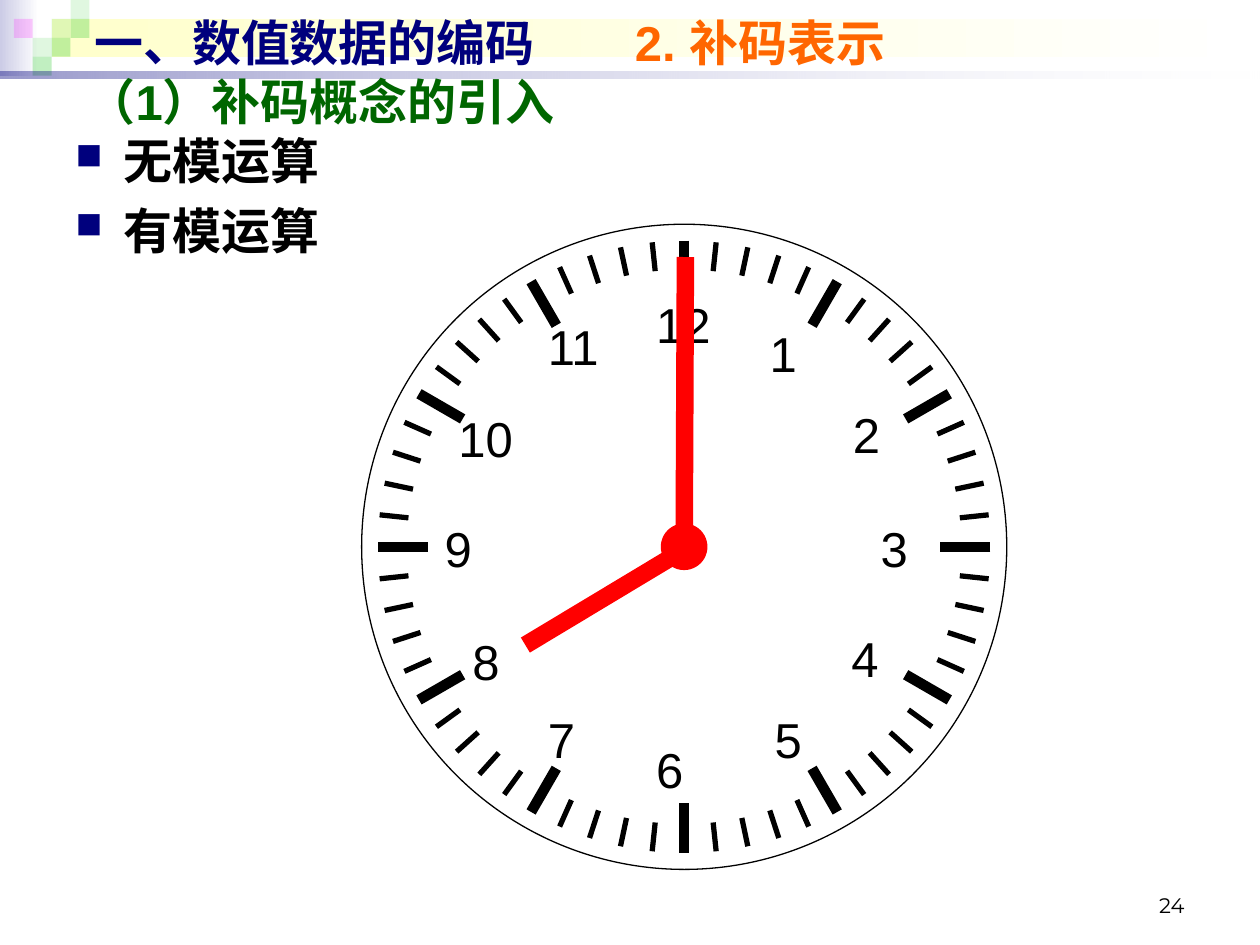
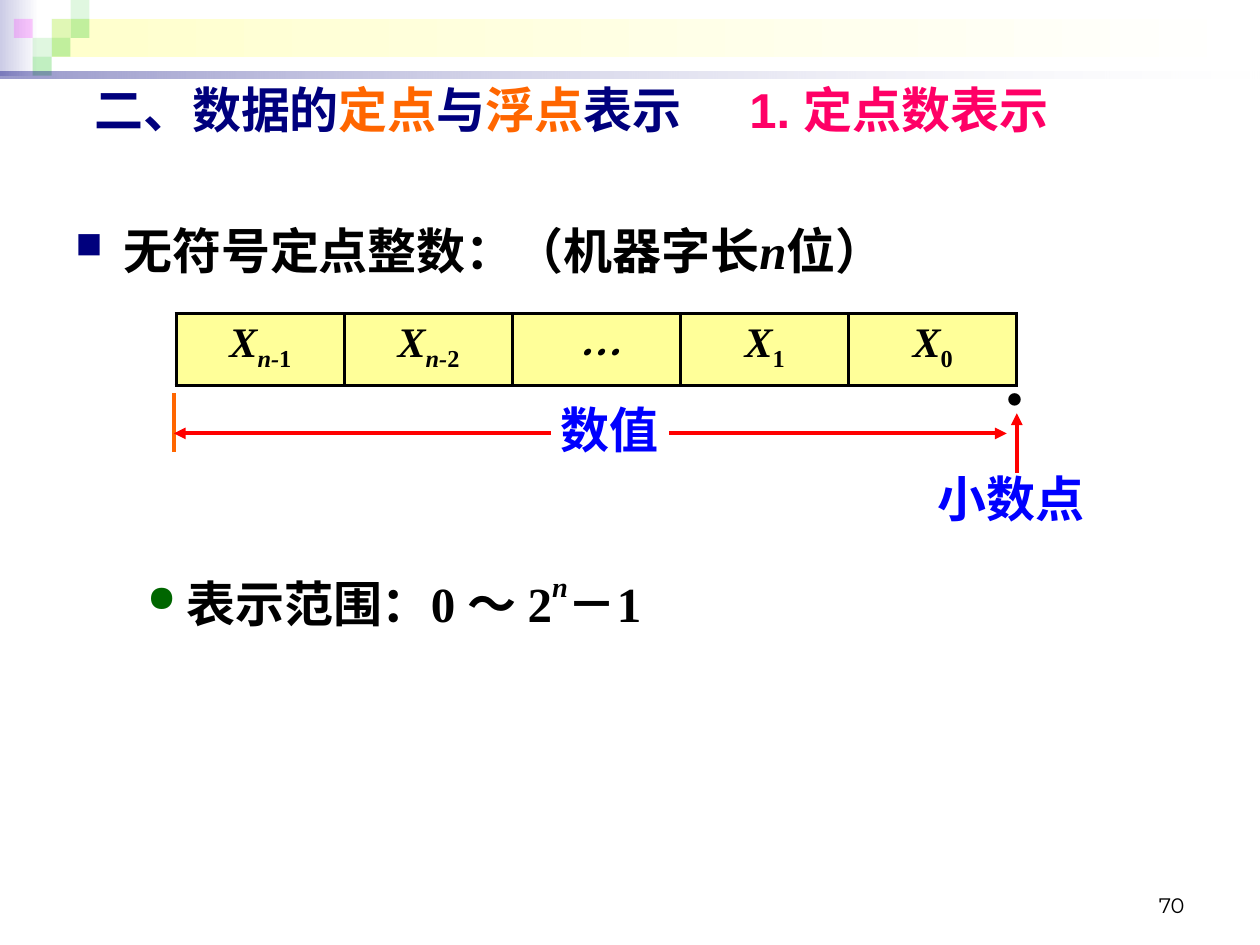
"""Builds two slides on complement code and fixed-point numbers."""
from dataclasses import dataclass
from math import cos, radians, sin

from lxml.etree import SubElement
from pptx import Presentation
from pptx.dml.color import RGBColor
from pptx.enum.shapes import MSO_CONNECTOR, MSO_SHAPE
from pptx.enum.text import MSO_ANCHOR, PP_ALIGN
from pptx.oxml.ns import qn
from pptx.util import Pt

PX = 9144


@dataclass(frozen=True)
class Theme:
    navy: str = "00007D"
    orange: str = "FF6600"
    pink: str = "FF0066"
    green: str = "006600"
    blue: str = "0000FF"
    red: str = "FF0000"
    black: str = "000000"
    white: str = "FFFFFF"
    lavender: str = "CCCCE6"
    cream: str = "FFFFCC"
    cell: str = "FFFF99"
    mosaic_green: str = "33CC33"
    mosaic_pink: str = "FF00FF"
    sans: str = "Arial"
    serif: str = "Times New Roman"
    chinese: str = "Noto Sans CJK SC"
    footer: str = "Montserrat"
    size: int = 28
    cell_size: int = 24
    footer_size: int = 12


@dataclass(frozen=True)
class Span:
    text: str
    color: str = Theme.black
    font: str = Theme.serif
    size: int = Theme.size
    bold: bool = True
    italic: bool = False
    baseline: int = 0


def heading(text, color):
    return Span(text, color, Theme.sans)


class Painter:
    def __init__(self, deck, theme):
        self.deck = deck
        self.theme = theme
        self.page = None

    def new_page(self, number):
        theme = self.theme
        self.page = self.deck.slides.add_slide(self.deck.slide_layouts[6])
        self.gradient((0, 0, 31, 60), theme.lavender)
        self.gradient((41, 15, 955, 30), theme.cream)
        tiles = [(2, 1, 15), (3, 0, 15), (3, 1, 30), (1, 2, 15), (0, 1, 20), (2, 2, 30), (1, 3, 30)]
        for column, row, alpha in tiles:
            color = theme.mosaic_green if column else theme.mosaic_pink
            tile = self.shape((11 + 15 * column, 15 * row, 15, 15), fill=color)
            self.fade(tile, alpha)
        rule = self.gradient((0, 57, 1000, 5), theme.navy)
        self.fade(rule, 40, 10)
        self.text((717, 683, 233, 50),
                  [Span(str(number), font=theme.footer, size=theme.footer_size, bold=False)],
                  align=PP_ALIGN.RIGHT, anchor=MSO_ANCHOR.BOTTOM)

    def shape(self, area, kind=MSO_SHAPE.RECTANGLE, fill=None, line=None):
        shape = self.page.shapes.add_shape(kind, *(PX * value for value in area))
        shape.shadow.inherit = False
        if fill:
            shape.fill.solid()
            shape.fill.fore_color.rgb = RGBColor.from_string(fill)
        else:
            shape.fill.background()
        if line:
            shape.line.color.rgb = RGBColor.from_string(line)
            shape.line.width = Pt(0.75)
        else:
            shape.line.fill.background()
        return shape

    def gradient(self, area, start):
        shape = self.shape(area)
        shape.fill.gradient()
        shape.fill.gradient_angle = 0
        for stop, color, position in zip(shape.fill.gradient_stops, (start, self.theme.white), (0, 1)):
            stop.color.rgb = RGBColor.from_string(color)
            stop.position = position
        return shape

    def fade(self, shape, *percents):
        colors = shape.element.spPr.iter(qn("a:srgbClr"))
        for color, percent in zip(list(colors), percents):
            SubElement(color, qn("a:alpha"), val=str(percent * 1000))

    def circle(self, center, radius, fill=None, line=None):
        x, y = center
        return self.shape((x - radius, y - radius, 2 * radius, 2 * radius), MSO_SHAPE.OVAL, fill, line)

    def line(self, start, end, color, width, arrow=False):
        points = [round(PX * value) for value in (*start, *end)]
        connector = self.page.shapes.add_connector(MSO_CONNECTOR.STRAIGHT, *points)
        connector.line.color.rgb = RGBColor.from_string(color)
        connector.line.width = Pt(width)
        properties = connector.element.spPr
        if arrow:
            SubElement(properties.find(qn("a:ln")), qn("a:tailEnd"), type="triangle")
        SubElement(properties, qn("a:effectLst"))

    def spans(self, para, spans):
        for item in spans:
            span = para.add_run()
            span.text = item.text
            font = span.font
            font.name, font.size = item.font, Pt(item.size)
            font.bold, font.italic = item.bold, item.italic
            font.color.rgb = RGBColor.from_string(item.color)
            properties = span.font._element
            SubElement(properties, qn("a:ea"), typeface=self.theme.chinese)
            if item.baseline:
                properties.set("baseline", str(item.baseline * 1000))

    def text(self, area, *paragraphs, align=PP_ALIGN.LEFT, anchor=MSO_ANCHOR.MIDDLE, bullet=None, tab=None):
        box = self.page.shapes.add_textbox(*(PX * value for value in area))
        frame = box.text_frame
        frame.word_wrap = True
        frame.vertical_anchor = anchor
        for index, spans in enumerate(paragraphs):
            para = frame.add_paragraph() if index else frame.paragraphs[0]
            para.alignment = align
            if bullet:
                self.bullet(para, *bullet)
            if tab:
                stops = SubElement(para._p.get_or_add_pPr(), qn("a:tabLst"))
                SubElement(stops, qn("a:tab"), pos=str(PX * tab), algn="l")
            if index:
                para.space_before = Pt(6)
            self.spans(para, spans)

    def bullet(self, para, symbol, color, margin, hang):
        properties = para._p.get_or_add_pPr()
        properties.set("marL", str(PX * margin))
        properties.set("indent", str(-PX * hang))
        SubElement(SubElement(properties, qn("a:buClr")), qn("a:srgbClr"), val=color)
        SubElement(properties, qn("a:buSzPct"), val="75000")
        SubElement(properties, qn("a:buChar"), char=symbol)

    def title(self, top, *spans, tab):
        self.text((65, top, 900, 57), spans, tab=tab)

    def body(self, area, *paragraphs):
        self.text(area, *paragraphs, anchor=MSO_ANCHOR.TOP, bullet=("■", self.theme.navy, 38, 38))

    def label(self, area, span):
        self.text(area, [span], align=PP_ALIGN.CENTER, anchor=MSO_ANCHOR.TOP)

    def table(self, area, cells):
        frame = self.page.shapes.add_table(1, len(cells), *(PX * value for value in area))
        for cell, spans in zip(frame.table.rows[0].cells, cells):
            para = cell.text_frame.paragraphs[0]
            para.alignment = PP_ALIGN.CENTER
            self.spans(para, spans)
            properties = cell._tc.get_or_add_tcPr()
            for side in ("lnL", "lnR", "lnT", "lnB"):
                border = SubElement(properties, qn(f"a:{side}"), w=str(Pt(2.25)))
                paint = SubElement(border, qn("a:solidFill"))
                SubElement(paint, qn("a:srgbClr"), val=self.theme.black)
            cell.fill.solid()
            cell.fill.fore_color.rgb = RGBColor.from_string(self.theme.cell)


def draw_clock(painter):
    theme = painter.theme
    center = x, y = 543, 434
    for minute in range(60):
        angle = radians(6 * minute)
        inner, width = (220, 3) if minute % 5 else (203, 6)
        outside, inside = ((x + radius * sin(angle), y - radius * cos(angle)) for radius in (243, inner))
        painter.line(outside, inside, theme.black, width)
    hour_places = [(601, 264), (667, 328), (689, 418), (666, 506), (605, 570), (511, 594),
                   (425, 570), (365, 508), (343, 418), (354, 331), (425, 258), (511, 241)]
    for hour, (left, top) in enumerate(hour_places, 1):
        painter.text((left, top, 66, 33), [Span(str(hour), font=theme.sans, bold=False)])
    painter.circle(center, 256, line=theme.black)
    painter.circle(center, 18, theme.red, theme.red)
    painter.line((545, 435), (417, 512), theme.red, 10)
    painter.line((544, 204), (543, 436), theme.red, 10)


def complement_page(painter):
    theme = painter.theme
    painter.new_page(24)
    painter.title(5, heading("一、数值数据的编码\t", theme.navy), heading("2. 补码表示", theme.orange), tab=429)
    painter.body((50, 99, 915, 630), [Span("无模运算")], [Span("有模运算")])
    painter.text((59, 52, 900, 57), [heading("（1）补码概念的引入", theme.green)])
    draw_clock(painter)


def digit_cell(*subscript):
    base = Span("X", size=Theme.cell_size, italic=True)
    return [base] + [Span(text, size=Theme.cell_size, italic=not text.isdigit(), baseline=-25)
                     for text in subscript]


def fixed_point_page(painter):
    theme = painter.theme
    painter.new_page(70)
    painter.title(58, heading("二、数据的", theme.navy), heading("定点", theme.orange),
                  heading("与", theme.navy), heading("浮点", theme.orange),
                  heading("表示\t", theme.navy), heading("1. 定点数表示", theme.pink), tab=520)
    painter.body((50, 170, 915, 60),
                 [Span("无符号定点整数：（机器字长"), Span("n", italic=True), Span("位）")])
    painter.text((50, 447, 915, 60),
                 [Span("表示范围：0 ～ 2"), Span("n", italic=True, baseline=50), Span("－1")],
                 anchor=MSO_ANCHOR.TOP, bullet=("●", theme.green, 88, 31))
    ellipsis = [Span("…", font=theme.chinese, size=theme.cell_size, italic=True)]
    painter.table((140, 249, 667, 57), [digit_cell("n-", "1"), digit_cell("n-", "2"), ellipsis,
                                        digit_cell("1"), digit_cell("0")])
    painter.label((776, 288, 55, 57), Span("·", font=theme.chinese))
    painter.line((807, 375), (807, 328), theme.red, 2.25, arrow=True)
    painter.label((720, 367, 165, 57), Span("小数点", theme.blue))
    painter.line((138, 312), (138, 359), theme.orange, 2.25)
    painter.label((421, 312, 126, 57), Span("数值", theme.blue))
    for start, end in ((437, 138), (531, 799)):
        painter.line((start, 344), (end, 344), theme.red, 2.25, arrow=True)


def main():
    deck = Presentation()
    deck.slide_width, deck.slide_height = 1000 * PX, 750 * PX
    painter = Painter(deck, Theme())
    complement_page(painter)
    fixed_point_page(painter)
    deck.save("out.pptx")


if __name__ == "__main__":
    main()
